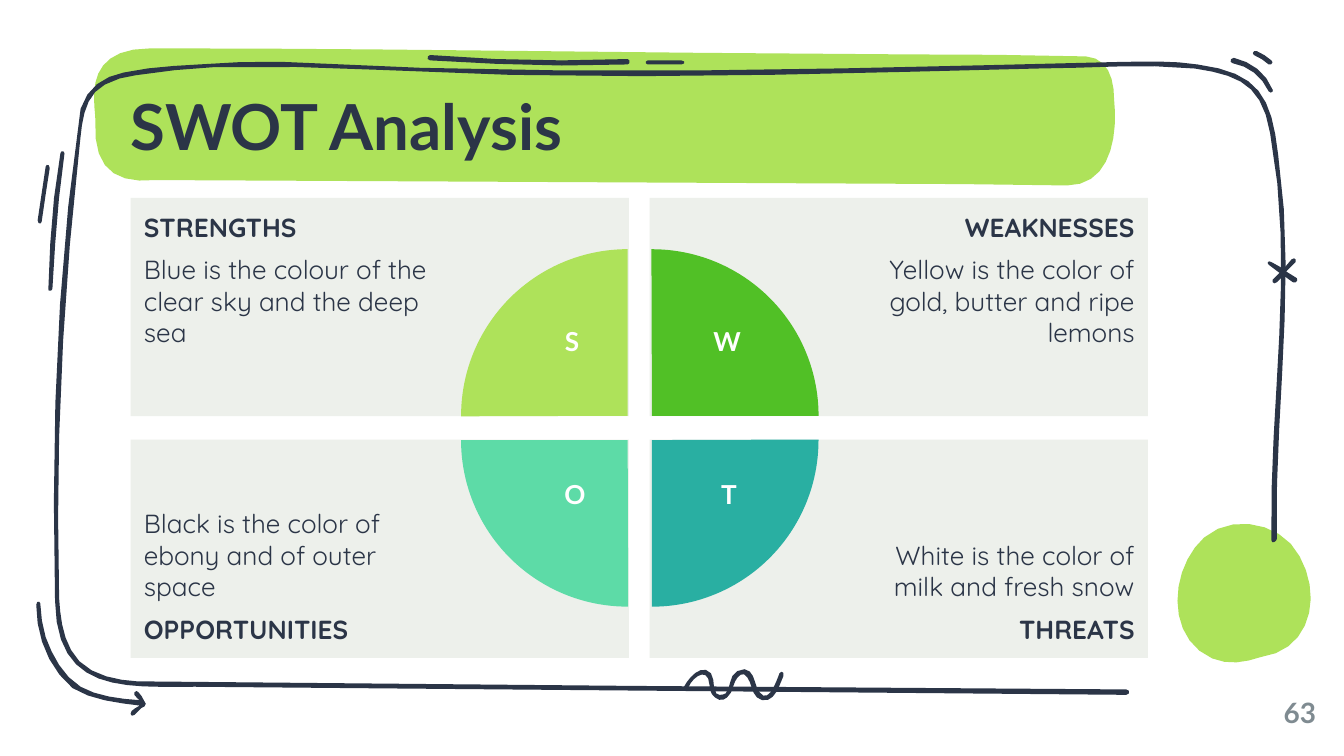
from dataclasses import dataclass
from math import ceil, hypot, sqrt

from pptx import Presentation
from pptx.dml.color import RGBColor
from pptx.enum.shapes import MSO_SHAPE
from pptx.enum.text import MSO_ANCHOR, PP_ALIGN
from pptx.util import Pt


@dataclass(frozen=True)
class Theme:
    ink: str = "2B3547"
    lime: str = "AEE25A"
    green: str = "51C026"
    teal: str = "29AFA2"
    mint: str = "5DDBA7"
    card: str = "EDF0EB"
    muted: str = "7F8B91"
    white: str = "FFFFFF"
    heading: str = "Lato"
    body: str = "Quicksand"
    title_size: int = 34
    number_size: int = 15
    text_size: int = 14


UNIT = 0.72
TOLERANCE = 0.5

BLOB = "967 414/955 390 918 381 896 400/871 422 866 474 902 490/914 495 926 493 938 489/975 484 984 444 967 414"
BANNER = (
    "829 74/829 58 824 43 808 42/741 40 675 41 608 40/435 39 285 36 112 36/60 36 71 77 71 89/"
    "69 125 85 137 116 134/316 135/715 137/742 137 768 138 794 138/826 138 832 102 829 74"
)
FRAME = (
    "951 115/946 72 937 54 891 48/871 45 857 46 837 46/628 51 418 58 209 46/189 46 168 46 148 48/"
    "129 49 110 50 92 54/77 57 65 65 60 81/42 201 38 325 41 447/42 516 92 511 145 511/"
    "375 513 609 515 838 517/841 517 841 513 838 513/593 511 347 510 102 507/87 506 70 503 59 492/"
    "47 479 45 461 44 445/43 405 43 365 44 325/46 253 51 182 59 111/61 94 61 72 78 63/"
    "85 59 93 57 101 56/120 53 140 51 159 50/200 49 241 50 282 52/445 61 609 55 772 51/"
    "812 51 848 47 889 51/922 56 939 63 945 99/964 199 944 299 946 402/946 405 950 403 950 401/"
    "948 306 965 210 951 115"
)
STROKES = [
    "45 114/39 147 37 181 36 215/35 217 39 217 39 215/41 181 43 148 48 114/48 112 45 112 45 114",
    "34 124/32 137 30 151 28 164/28 167 31 167 31 165/33 151 35 138 37 125/37 122 34 122 34 124",
    "467 44/418 46 369 45 320 41/318 41 317 45 320 45/369 48 418 50 467 48/469 48 469 44 467 44",
    "507 45/482 45/480 45 480 48 482 48/507 48/510 48 510 45 507 45",
    "947 67/942 54 931 46 918 43/915 43 915 47 917 47/929 49 939 57 944 68/945 70 948 68 947 67",
    "946 45/943 42 939 40 935 38/933 37 931 40 933 41/937 43 941 45 944 48/946 49 948 46 946 45",
]
ARROW = (
    "107 521/106 519 105 517 103 515/102 513 99 515 100 517/101 518 103 521 104 521/"
    "89 520 72 518 60 511/47 503 39 488 34 474/32 466 30 458 30 449/30 447 27 447 27 450/"
    "27 473 36 497 54 512/68 521 88 523 104 525/101 526 100 528 98 529/96 531 98 534 100 532/"
    "105 527/108 526 110 524 107 521"
)
CROSS = (
    "965 207/957 202/959 200 962 197 964 195/965 193 963 191 961 193/955 200/946 195/"
    "944 193 942 196 944 197/952 203/947 208/946 210 948 212 950 210/955 205/962 210/"
    "964 211 966 209 965 207"
)
SQUIGGLE = (
    "580 501/578 506 572 525 565 515/561 510 562 499 554 498/550 498 547 500 545 503/"
    "543 507 543 512 540 516/538 517 535 518 533 516/530 512 532 505 529 501/522 493 512 505 509 511/"
    "508 513 511 514 512 512/515 504 527 495 528 510/528 513 529 517 532 519/535 522 539 521 541 519/"
    "545 516 545 511 547 507/549 503 553 499 556 504/560 509 559 519 567 521/577 523 580 509 583 503/"
    "584 500 581 499 580 501"
)


def trace(outline):
    segments = [[float(n) for n in part.split()] for part in outline.split("/")]
    points = [tuple(segments[0])]
    for seg in segments[1:]:
        if len(seg) == 2:
            points.append(tuple(seg))
            continue
        x0, y0 = points[-1]
        x1, y1, x2, y2, x3, y3 = seg
        bend = max(hypot(x0 - 2 * x1 + x2, y0 - 2 * y1 + y2), hypot(x1 - 2 * x2 + x3, y1 - 2 * y2 + y3))
        steps = max(1, ceil(sqrt(0.75 * bend / TOLERANCE)))
        for i in range(1, steps + 1):
            t = i / steps
            u = 1 - t
            a, b, c, d = u**3, 3 * u * u * t, 3 * u * t * t, t**3
            points.append((a * x0 + b * x1 + c * x2 + d * x3, a * y0 + b * y1 + c * y2 + d * y3))
    return [(Pt(x * UNIT), Pt(y * UNIT)) for x, y in points]


class Deck:
    def __init__(self, theme, width, height):
        self.theme = theme
        self.prs = Presentation()
        self.prs.slide_width, self.prs.slide_height = Pt(width), Pt(height)
        self.s = self.prs.slides.add_slide(self.prs.slide_layouts[6])

    def paint(self, sp, color):
        sp.shadow.inherit = False
        sp.fill.solid()
        sp.fill.fore_color.rgb = RGBColor.from_string(color)
        sp.line.fill.background()

    def outline(self, path, color):
        start, *rest = trace(path)
        builder = self.s.shapes.build_freeform(*start, scale=1.0)
        builder.add_line_segments(rest[:-1], close=True)
        self.paint(builder.convert_to_shape(), color)

    def setup(self, tf, margins, anchor, wrap=True):
        tf.word_wrap = wrap
        tf.vertical_anchor = anchor
        left, top, right, bottom = map(Pt, margins)
        tf.margin_left, tf.margin_top = left, top
        tf.margin_right, tf.margin_bottom = right, bottom

    def run(self, p, text, font, size, color, bold):
        r = p.add_run()
        r.text = text
        r.font.name, r.font.size, r.font.bold = font, Pt(size), bold
        r.font.color.rgb = RGBColor.from_string(color)

    def label(self, text, box, size, color, align, anchor=MSO_ANCHOR.MIDDLE, top=0, wrap=True):
        tf = self.s.shapes.add_textbox(*map(Pt, box)).text_frame
        self.setup(tf, (0, top, 0, 0), anchor, wrap)
        p = tf.paragraphs[0]
        p.alignment = align
        self.run(p, text, self.theme.heading, size, color, True)
        return p

    def card(self, box, heading, body, right, below):
        th = self.theme
        sp = self.s.shapes.add_shape(MSO_SHAPE.RECTANGLE, *map(Pt, box))
        self.paint(sp, th.card)
        tf = sp.text_frame
        margins = (108, 7.2, 7.2, 7.2) if right else (7.2, 7.2, 108, 7.2)
        self.setup(tf, margins, MSO_ANCHOR.BOTTOM if below else MSO_ANCHOR.TOP)
        lines = [(heading, True), (body, False)]
        if below:
            lines.reverse()
        for i, (text, bold) in enumerate(lines):
            p = tf.add_paragraph() if i else tf.paragraphs[0]
            p.alignment = PP_ALIGN.RIGHT if right else PP_ALIGN.LEFT
            if i:
                p.space_before = p.space_after = Pt(6)
            self.run(p, text, th.body, th.text_size, th.ink, bold)

    def quarter(self, x, y, size, rotation, color):
        sp = self.s.shapes.add_shape(MSO_SHAPE.PIE, Pt(x), Pt(y), Pt(size), Pt(size))
        sp.adjustments[0], sp.adjustments[1] = 107.89, 162
        sp.rotation = rotation
        self.paint(sp, color)


def main():
    th = Theme()
    deck = Deck(th, 720, 405)
    for path in (BLOB, BANNER):
        deck.outline(path, th.lime)
    for path in (FRAME, *STROKES, ARROW, CROSS, SQUIGGLE):
        deck.outline(path, th.ink)

    title = deck.label("SWOT Analysis", (70, 54, 506, 31), th.title_size, th.ink, PP_ALIGN.LEFT)
    title.line_spacing = 0.9
    deck.label("63", (662, 369.5, 43, 24), th.number_size, th.muted, PP_ALIGN.RIGHT)

    quadrants = [
        ("STRENGTHS", "Blue is the colour of the clear sky and the deep sea", 0, 0, 0, th.lime),
        ("WEAKNESSES", "Yellow is the color of gold, butter and ripe lemons", 1, 0, 90, th.green),
        ("THREATS", "White is the color of milk and fresh snow", 1, 1, 180, th.teal),
        ("OPPORTUNITIES", "Black is the color of ebony and of outer space", 0, 1, 270, th.mint),
    ]
    for heading, body, col, row, _, _ in quadrants:
        deck.card((70 + 278 * col, 106 + 129.5 * row, 267, 117), heading, body, col, row)
    for _, _, col, row, rotation, color in quadrants:
        deck.quarter(247 + 13 * col, 133.5 + 13 * row, 178.5, rotation, color)

    letters = [("S", 301.5, 171, 10), ("W", 380, 171, 19), ("T", 385.5, 253, 10), ("O", 302, 252.5, 12)]
    for letter, x, y, width in letters:
        deck.label(letter, (x, y, width, 36), th.text_size, th.white, PP_ALIGN.CENTER,
                   MSO_ANCHOR.TOP, top=3.6, wrap=False)
    deck.prs.save("out.pptx")


if __name__ == "__main__":
    main()
